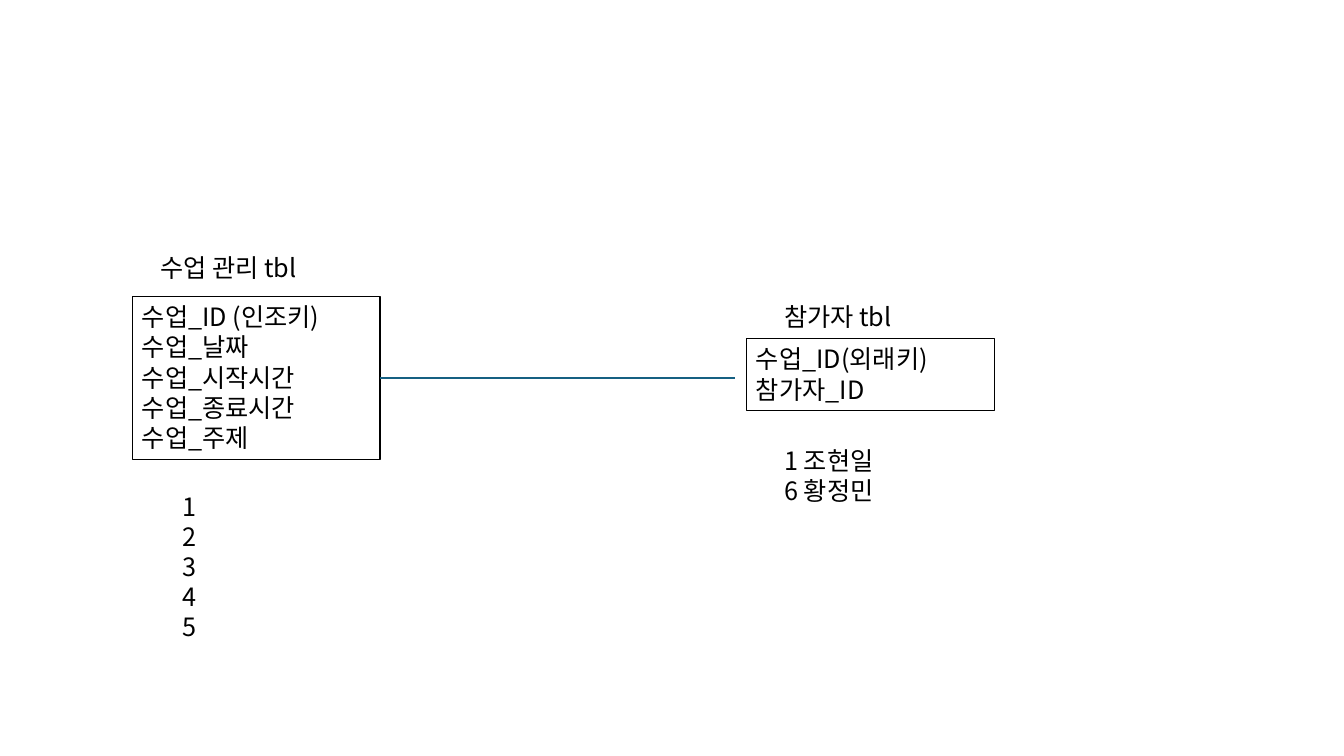
from lxml.etree import SubElement
from pptx import Presentation
from pptx.dml.color import RGBColor
from pptx.enum.shapes import MSO_CONNECTOR as Connector, MSO_SHAPE as Shape
from pptx.enum.text import MSO_ANCHOR as Anchor, MSO_AUTO_SIZE as AutoSize, PP_ALIGN as Align
from pptx.oxml.ns import qn
from pptx.util import Inches, Pt


def color(value):
    return RGBColor.from_string(value)


class SchemaSlide:
    font = "Noto Sans CJK KR"
    size = Pt(18)
    ink = "000000"
    relation_color = "156082"

    def __init__(self, slide):
        self.shapes = slide.shapes

    def set_lines(self, frame, lines):
        frame.word_wrap = True
        frame.auto_size = AutoSize.SHAPE_TO_FIT_TEXT
        frame.vertical_anchor = Anchor.TOP
        frame.text = "\n".join(lines)
        for paragraph in frame.paragraphs:
            paragraph.alignment = Align.LEFT
            for run in paragraph.runs:
                run.font.name = self.font
                run.font.size = self.size
                run.font.color.rgb = color(self.ink)
                east_asian = SubElement(run.font._element, qn("a:ea"))
                east_asian.set("typeface", self.font)

    def label(self, left, top, width, height, lines):
        box = self.shapes.add_textbox(*map(Inches, (left, top, width, height)))
        self.set_lines(box.text_frame, lines)

    def entity(self, left, top, width, height, fields):
        box = self.shapes.add_shape(Shape.RECTANGLE, *map(Inches, (left, top, width, height)))
        box.shadow.inherit = False
        box.fill.background()
        box.line.color.rgb = color(self.ink)
        box.line.width = Pt(0.75)
        self.set_lines(box.text_frame, fields)
        return box

    def relation(self, source, start_x, end_x, y):
        line = self.shapes.add_connector(
            Connector.STRAIGHT, *map(Inches, (start_x, y, end_x, y)))
        line.begin_connect(source, 3)
        line.line.color.rgb = color(self.relation_color)
        line.line.width = Pt(1.5)
        SubElement(line._element.spPr, qn("a:effectLst"))


def main():
    deck = Presentation()
    deck.slide_width = Inches(13.33)
    deck.slide_height = Inches(7.5)
    schema = SchemaSlide(deck.slides.add_slide(deck.slide_layouts[6]))

    class_fields = ["수업_ID (인조키)", "수업_날짜", "수업_시작시간", "수업_종료시간", "수업_주제"]
    class_table = schema.entity(1.31, 2.94, 2.46, 1.62, class_fields)
    schema.label(1.49, 2.45, 1.9, 0.4, ["수업 관리 tbl"])

    schema.entity(7.4, 3.36, 2.46, 0.71, ["수업_ID(외래키)", "참가자_ID"])
    schema.label(7.68, 2.94, 1.9, 0.4, ["참가자 tbl"])

    schema.relation(class_table, 3.77, 7.29, 3.75)

    schema.label(1.71, 4.82, 2.96, 1.62, [str(class_id) for class_id in range(1, 6)])
    schema.label(7.68, 4.37, 2.96, 1.01, ["1 조현일", "6 황정민"])

    deck.save("out.pptx")


if __name__ == "__main__":
    main()
